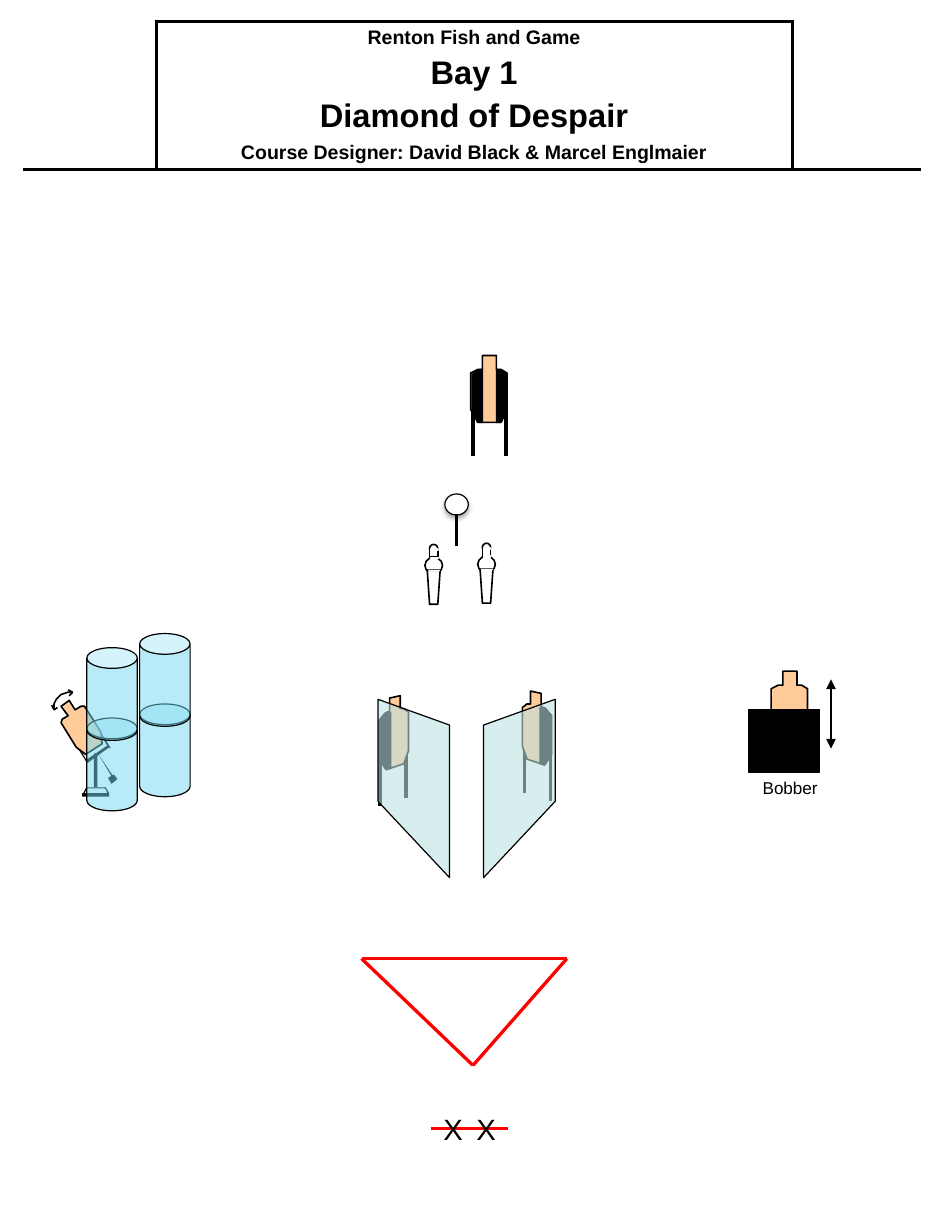
"""Build the stage diagram for Bay 1, Diamond of Despair."""
from lxml.etree import SubElement
from pptx import Presentation
from pptx.dml.color import RGBColor
from pptx.enum.shapes import MSO_CONNECTOR, MSO_SHAPE
from pptx.enum.text import MSO_ANCHOR, MSO_AUTO_SIZE, PP_ALIGN
from pptx.oxml.ns import qn
from pptx.util import Cm, Pt

COLORS = {"black": "000000", "white": "FFFFFF", "red": "FF0000", "card": "FFCC99",
          "wall": "BBE0E3", "barrel": "73D9F1"}
TARGET = [(0.1, 0), (0.22, 0), (0.22, 0.12), (0.26, 0.12), (0.31, 0.15), (0.31, 0.46),
          (0.26, 0.57), (0.06, 0.57), (0, 0.46), (0, 0.15), (0.06, 0.12), (0.1, 0.12)]
LEANING = [(3.32, 5.95), (3.41, 5.93), (3.41, 6.04), (3.44, 6.04), (3.48, 6.07),
           (3.48, 6.4), (3.44, 6.51), (3.29, 6.56), (3.23, 6.47), (3.23, 6.14),
           (3.28, 6.08), (3.32, 6.06)]
LEANING_COVER = [(3.23, 6.47), (3.29, 6.56), (3.33, 6.55), (3.33, 6.07), (3.29, 6.08),
                 (3.23, 6.14)]
WALL = [(3.22, 6.83), (3.83, 7.48), (3.83, 6.18), (3.22, 5.96)]
SWINGER = [(0.59, 5.97), (0.52, 6.02), (0.58, 6.1), (0.53, 6.13), (0.52, 6.16),
           (0.65, 6.37), (0.73, 6.43), (0.87, 6.34), (0.86, 6.24), (0.72, 6.02),
           (0.69, 6.02), (0.64, 6.05)]
SWING_ARC = [(0.61, 5.9), (0.58, 5.9), (0.55, 5.91), (0.52, 5.92), (0.5, 5.94),
             (0.48, 5.96), (0.47, 5.98), (0.46, 6), (0.46, 6.04)]
RAILS = [[(0.73, 6.06), (0.93, 6.38), (0.94, 6.37), (0.74, 6.05)],
         [(0.54, 6.18), (0.74, 6.5), (0.75, 6.5), (0.55, 6.17)]]
SWING_PARTS = [[(0.93, 6.37), (0.75, 6.5), (0.73, 6.48), (0.92, 6.35)],
               [(0.84, 6.43), (0.97, 6.65), (0.98, 6.64)],
               [(1, 6.64), (0.95, 6.68), (0.92, 6.63), (0.97, 6.6)],
               [(0.74, 6.71), (0.72, 6.77), (0.71, 6.76), (0.74, 6.7)],
               [(0.89, 6.71), (0.92, 6.77), (0.93, 6.76), (0.9, 6.71)]]


def length(inches):
    """Turn inches into a slide length."""
    return Cm(inches * 2.54)


def moved(points, x, y):
    """Shift points by x and y."""
    return [(px + x, py + y) for px, py in points]


def mirrored(points, total, y=0):
    """Flip points left to right, so that old and new x add up to total."""
    return [(total - px, py + y) for px, py in points]


class StagePage:
    """Holds the style, the slide and the collection now being drawn into."""

    def __init__(self, deck):
        self.page = deck.slides.add_slide(deck.slide_layouts[6])
        self.shapes = self.page.shapes

    def group(self):
        self.shapes = self.page.shapes.add_group_shape().shapes

    def ungroup(self):
        self.shapes = self.page.shapes

    def color(self, name):
        return RGBColor.from_string(COLORS[name])

    def paint(self, shape, fill, width, line="black", opacity=None):
        shape.shadow.inherit = False
        if fill:
            shape.fill.solid()
            shape.fill.fore_color.rgb = self.color(fill)
            if opacity:
                color = shape._element.spPr.find(qn("a:solidFill"))[0]
                SubElement(color, qn("a:alpha"), val=str(opacity * 1000))
        else:
            shape.fill.background()
        if width:
            shape.line.width = Pt(width)
            shape.line.color.rgb = self.color(line)
        else:
            shape.line.fill.background()
        return shape

    def preset(self, kind, at, fill, width=0, **style):
        return self.paint(self.shapes.add_shape(kind, *map(length, at)), fill, width, **style)

    def outline(self, points, fill, width=0, close=True, **style):
        start, *rest = [(length(x), length(y)) for x, y in points]
        builder = self.shapes.build_freeform(*start)
        builder.add_line_segments(rest, close=close)
        return self.paint(builder.convert_to_shape(), fill, width, **style)

    def line(self, start, end, width, color="black", arrows=False):
        ends = map(length, (*start, *end))
        connector = self.shapes.add_connector(MSO_CONNECTOR.STRAIGHT, *ends)
        connector.line.width = Pt(width)
        connector.line.color.rgb = self.color(color)
        properties = connector._element.spPr
        if arrows:
            for tag in ("a:headEnd", "a:tailEnd"):
                SubElement(properties.find(qn("a:ln")), qn(tag), type="triangle")
        SubElement(properties, qn("a:effectLst"))

    def add_span(self, paragraph, text, **formats):
        span = paragraph.add_run()
        span.text = text
        for name, value in {"name": "Arial", **formats}.items():
            setattr(span.font, name, value)
        span.font.color.rgb = self.color("black")

    def label(self, at, text, size):
        box = self.shapes.add_textbox(*map(length, at))
        frame = box.text_frame
        frame.word_wrap = True
        frame.auto_size = MSO_AUTO_SIZE.SHAPE_TO_FIT_TEXT
        self.add_span(frame.paragraphs[0], text, size=Pt(size))

    def heading(self, at, widths, lines):
        table = self.shapes.add_table(1, len(widths), *map(length, at)).table
        table.first_row = table.horz_banding = False
        for column, width in zip(table.columns, widths):
            column.width = length(width)
        for cell, sides in zip(table.rows[0].cells, ("RB", "LRTB", "LB")):
            properties = cell._tc.get_or_add_tcPr()
            for side in sides:
                border = SubElement(properties, qn(f"a:ln{side}"), w=str(Pt(2.25)))
                fill = SubElement(border, qn("a:solidFill"))
                SubElement(fill, qn("a:srgbClr"), val=COLORS["black"])
            cell.fill.solid()
            cell.fill.fore_color.rgb = self.color("white")
        cell = table.cell(0, 1)
        cell.vertical_anchor = MSO_ANCHOR.MIDDLE
        for side in ("left", "right", "top", "bottom"):
            setattr(cell, f"margin_{side}", length(0.05))
        for index, (text, size, before) in enumerate(lines):
            frame = cell.text_frame
            paragraph = frame.add_paragraph() if index else frame.paragraphs[0]
            paragraph.alignment = PP_ALIGN.CENTER
            paragraph.space_before = Pt(before)
            self.add_span(paragraph, text, size=Pt(size), bold=True)

    def popper(self, x, y):
        self.group()
        self.preset(MSO_SHAPE.OVAL, (x + 0.02, y, 0.07, 0.07), "white", 1)
        self.preset(MSO_SHAPE.OVAL, (x - 0.02, y + 0.11, 0.15, 0.14), "white", 1)
        body = [(0, 0.22), (0.11, 0.22), (0.09, 0.51), (0.02, 0.51)]
        self.outline(moved(body, x, y), "white", 1)
        self.preset(MSO_SHAPE.RECTANGLE, (x + 0.02, y + 0.04, 0.07, 0.07), "white", 1)
        self.preset(MSO_SHAPE.RECTANGLE, (x + 0.01, y + 0.22, 0.1, 0.01), "white")
        for top in (0.11, 0.04):
            self.preset(MSO_SHAPE.RECTANGLE, (x + 0.03, y + top, 0.06, 0.01), "white", 1,
                        line="white")

    def leaning_target(self, place):
        self.group()
        for post in ([(3.24, 6.44), (3.24, 6.87)], [(3.46, 6.37), (3.46, 6.8)]):
            self.line(*place(post), 2.25)
        self.outline(place(LEANING), "card", 1)
        self.outline(place(LEANING_COVER), "black", 0.75)

    def swinger(self):
        self.group()
        for points in RAILS:
            self.outline(points, "black")
        self.outline(SWINGER, "card", 1)
        for points in SWING_PARTS:
            self.outline(points, "black")
        for at in ((0.7, 6.76, 0.23, 0.03), (0.8, 6.42, 0.03, 0.29), (0.74, 6.71, 0.16, 0.01)):
            self.preset(MSO_SHAPE.RECTANGLE, at, "black")
        self.outline(SWING_ARC, None, 1, close=False)
        for tip, barbs in (((0.62, 5.9), [(0.59, 5.93), (0.58, 5.88)]),
                           ((0.46, 6.05), [(0.49, 6.03), (0.44, 6.01)])):
            for barb in barbs:
                self.line(tip, barb, 1)

    def barrels(self, x, y):
        self.group()
        for top in (y + 0.6, y):
            can = self.preset(MSO_SHAPE.CAN, (x, top, 0.43, 0.79), "barrel", 0.75, opacity=50)
            can.adjustments[0] = 0.41

    def covered_target(self):
        self.group()
        for x in (4.03, 4.31):
            self.line((x, 3.45), (x, 3.89), 2.25)
        self.outline(moved(TARGET, 4.01, 3.03), "card", 1)
        cover = [(4.23, 3.15), (4.23, 3.6), (4.26, 3.6), (4.32, 3.49), (4.32, 3.19), (4.26, 3.15)]
        for points in (cover, mirrored(cover, 8.34)):
            self.outline(points, "black", 0.75)

    def plate(self):
        self.group()
        disc = self.preset(MSO_SHAPE.OVAL, (3.79, 4.21, 0.2, 0.18), "white", 0.75)
        effects = disc._element.spPr.find(qn("a:effectLst"))
        shadow = SubElement(effects, qn("a:outerShdw"), blurRad=str(Pt(3.1)),
                            dist=str(Pt(1.8)), dir="5400000", rotWithShape="0")
        color = SubElement(shadow, qn("a:srgbClr"), val=COLORS["black"])
        SubElement(color, qn("a:alpha"), val="35000")
        self.line((3.89, 4.65), (3.89, 4.38), 2)

    def bobber(self):
        self.group()
        self.outline(moved(TARGET, 6.57, 5.72), "card", 1)
        self.preset(MSO_SHAPE.RECTANGLE, (6.38, 6.05, 0.6, 0.53), "black", 0.75)
        self.line((7.08, 5.79), (7.08, 6.38), 1.5, arrows=True)
        self.label((6.4, 6.58, 0.7, 0.29), "Bobber", 10.5)


def main():
    deck = Presentation()
    deck.slide_width, deck.slide_height = length(8), length(10.5)
    stage = StagePage(deck)
    stage.heading((0.19, 0.18, 7.66, 1.08), (1.14, 5.42, 1.1), [
        ("Renton Fish and Game", 12, 0), ("Bay 1", 20, 4), ("Diamond of Despair", 20, 4),
        ("Course Designer: David Black & Marcel Englmaier", 12, 4.2)])
    left, right, front = (3.08, 8.17), (4.83, 8.17), (4.03, 9.08)
    for start, end in ((right, left), (front, left), (front, right)):
        stage.line(start, end, 2, "red")
    stage.group()
    stage.line((4.33, 9.62), (3.67, 9.62), 2, "red")
    for x in (3.68, 3.96):
        stage.label((x, 9.42, 0.31, 0.4), "X", 18)
    stage.popper(3.64, 4.64)
    stage.popper(4.09, 4.63)
    stage.leaning_target(list)
    stage.leaning_target(lambda points: mirrored(points, 7.93, -0.04))
    stage.ungroup()
    for points in (mirrored(WALL, 7.95), WALL):
        stage.outline(points, "wall", 0.75, opacity=58)
    stage.swinger()
    stage.barrels(0.74, 5.52)
    stage.barrels(1.19, 5.4)
    stage.covered_target()
    stage.plate()
    stage.bobber()
    deck.save("out.pptx")


if __name__ == "__main__":
    main()
